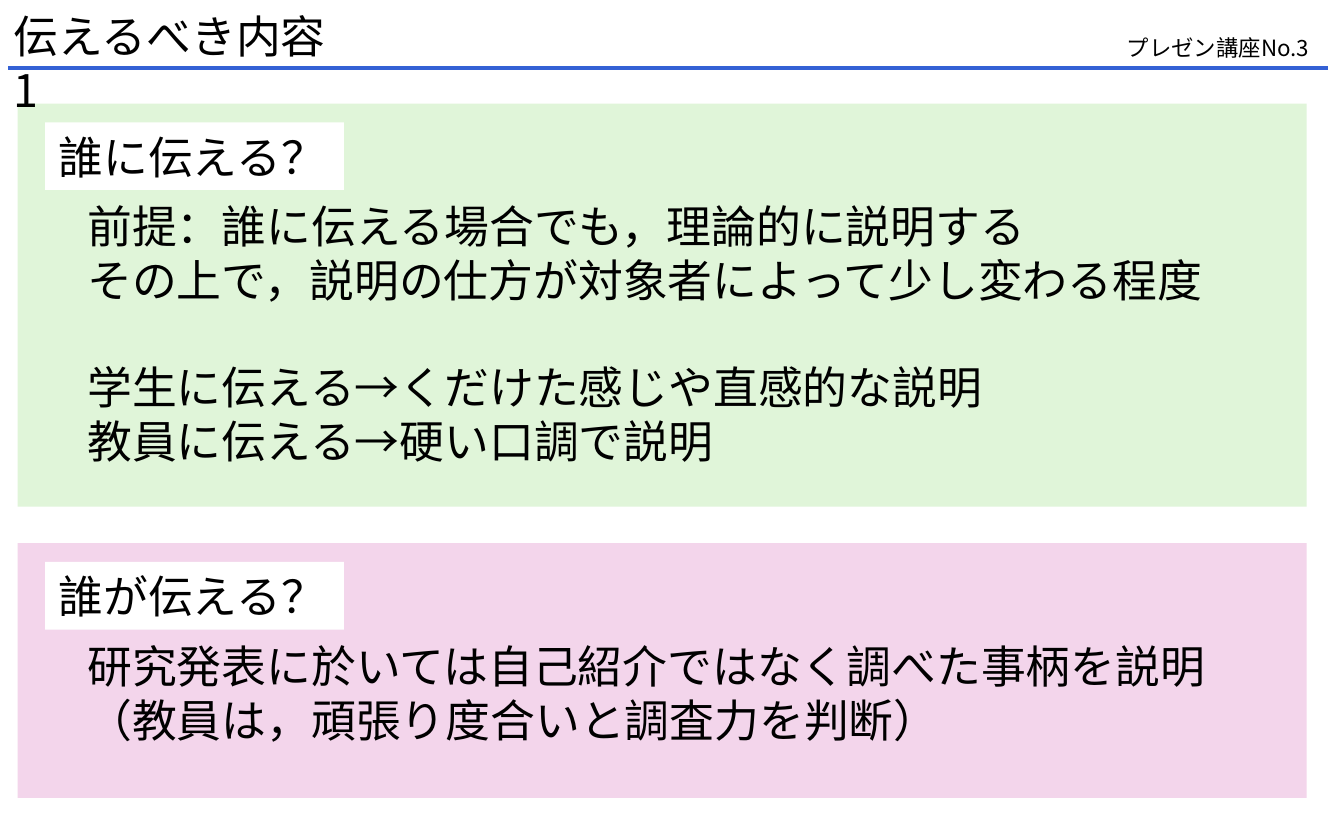
"""Build the slide on whom to address and who presents."""
from dataclasses import dataclass

from lxml.etree import SubElement
from pptx import Presentation
from pptx.dml.color import RGBColor
from pptx.enum.shapes import MSO_CONNECTOR as Connector, MSO_SHAPE as Preset
from pptx.enum.text import MSO_ANCHOR as Anchor, MSO_AUTO_SIZE as AutoSize, PP_ALIGN as Align
from pptx.oxml.ns import qn
from pptx.util import Pt

FONT = "Noto Sans CJK JP"
COLORS = {"text": "000000", "label": "FFFFFF", "rule": "3461D5",
          "audience": "E0F5D9", "speaker": "F3D5EB"}
LINE_FACTOR = 1.2
BODY_SIZE = 24


@dataclass
class Section:
    color: str
    top: float
    height: float
    heading: str
    groups: list[list[str]]


SECTIONS = [
    Section("audience", 55.5, 216, "誰に伝える？", [
        ["前提：誰に伝える場合でも，理論的に説明する",
         "その上で，説明の仕方が対象者によって少し変わる程度"],
        ["学生に伝える→くだけた感じや直感的な説明",
         "教員に伝える→硬い口調で説明"],
    ]),
    Section("speaker", 291, 136.5, "誰が伝える？", [
        ["研究発表に於いては自己紹介ではなく調べた事柄を説明",
         "（教員は，頑張り度合いと調査力を判断）"],
    ]),
]


def color(name: str) -> RGBColor:
    return RGBColor.from_string(COLORS[name])


def place(shape, left: float, top: float, width: float, height: float) -> None:
    shape.left, shape.top = Pt(left), Pt(top)
    shape.width, shape.height = Pt(width), Pt(height)


def write(shape, groups: list[list[str]], size: float = BODY_SIZE,
          wrap: bool = False, anchor=Anchor.TOP) -> None:
    frame = shape.text_frame
    frame.word_wrap = wrap
    frame.auto_size = AutoSize.NONE
    frame.vertical_anchor = anchor
    frame.margin_left = frame.margin_right = Pt(7.2)
    frame.margin_top = frame.margin_bottom = Pt(3.6)
    pitch = Pt(size * LINE_FACTOR)
    lines = [(g, i, line) for g, group in enumerate(groups) for i, line in enumerate(group)]
    for number, (group, index, line) in enumerate(lines):
        para = frame.add_paragraph() if number else frame.paragraphs[0]
        para.alignment = Align.LEFT
        para.line_spacing = pitch
        para.space_before = pitch if group and not index else Pt(0)
        span = para.add_run()
        span.text = line
        span.font.size = Pt(size)
        span.font.name = FONT
        span.font.color.rgb = color("text")
        SubElement(span.font._element, qn("a:ea")).set("typeface", FONT)


def add_panel(page, fill: str, left: float, top: float, width: float, height: float):
    panel = page.shapes.add_shape(Preset.RECTANGLE, Pt(left), Pt(top), Pt(width), Pt(height))
    panel.shadow.inherit = False
    panel.fill.solid()
    panel.fill.fore_color.rgb = color(fill)
    panel.line.fill.background()
    return panel


def add_text(page, left: float, top: float, width: float, height: float):
    return page.shapes.add_textbox(Pt(left), Pt(top), Pt(width), Pt(height))


def add_section(page, section: Section) -> None:
    add_panel(page, section.color, 9.5, section.top, 690.5, section.height)
    label = add_panel(page, "label", 24.25, section.top + 10, 160, 36.25)
    write(label, [[section.heading]], anchor=Anchor.MIDDLE)
    count = sum(map(len, section.groups)) + len(section.groups) - 1
    body = add_text(page, 39.75, section.top + 47.5, 620, count * BODY_SIZE * LINE_FACTOR + 7.2)
    write(body, section.groups)


def add_rule(page) -> None:
    rule = page.shapes.add_connector(Connector.STRAIGHT, Pt(4.5), Pt(36.35), Pt(711.5), Pt(36.35))
    rule.line.color.rgb = color("rule")
    rule.line.width = Pt(2)
    SubElement(rule._element.spPr, qn("a:effectLst"))


def main() -> None:
    deck = Presentation()
    deck.slide_width, deck.slide_height = Pt(720), Pt(450)
    page = deck.slides.add_slide(deck.slide_layouts[5])
    for section in SECTIONS:
        add_section(page, section)
    title = page.shapes.title
    place(title, 0, 1, 190, 36)
    write(title, [["伝えるべき内容1"]], wrap=True)
    page.shapes._spTree.append(title._element)
    add_rule(page)
    write(add_text(page, 596.5, 14.5, 115, 21.8), [["プレゼン講座No.3"]], size=12)
    deck.save("out.pptx")


main()
